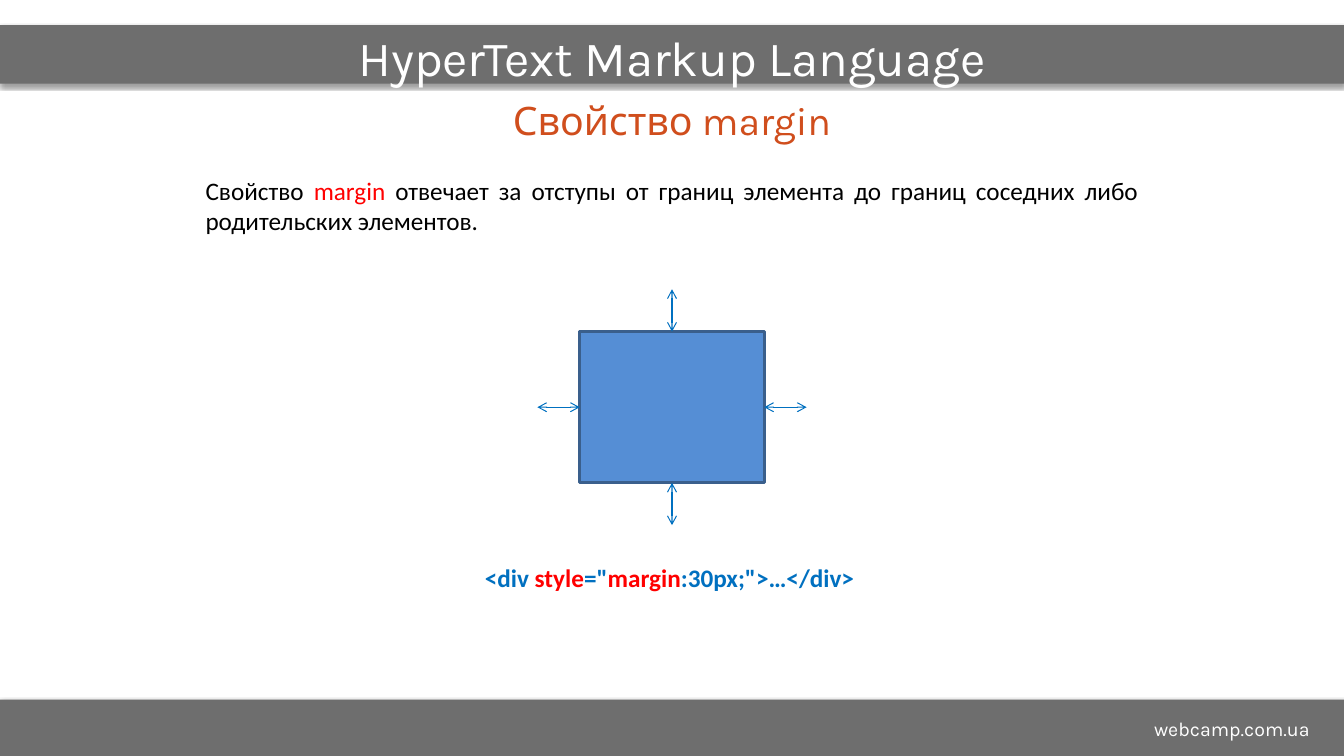
from lxml.etree import SubElement
from pptx import Presentation
from pptx.dml.color import RGBColor
from pptx.enum.shapes import MSO_CONNECTOR as Connector, MSO_SHAPE as Shape
from pptx.enum.text import MSO_ANCHOR as Anchor, PP_ALIGN as Align
from pptx.oxml.ns import qn
from pptx.util import Inches, Pt

COLORS = {
    "band": "6E6E6E", "white": "FFFFFF", "title": "D04E1D", "black": "000000",
    "red": "FF0000", "blue": "0070C0", "box": "558ED5", "box_line": "3A5F8C",
}
WIDTH, HEIGHT = 13.33, 7.5
CENTER = WIDTH / 2


def color(name):
    return RGBColor.from_string(COLORS[name])


def add_text(area, pieces, size, font, align=Align.LEFT, anchor=Anchor.TOP, bold=False):
    text_box = slide.shapes.add_textbox(*map(Inches, area))
    frame = text_box.text_frame
    frame.word_wrap = True
    frame.vertical_anchor = anchor
    paragraph = frame.paragraphs[0]
    paragraph.alignment = align
    for text, color_name in pieces:
        run = paragraph.add_run()
        run.text = text
        run.font.size = Pt(size)
        run.font.name = font
        run.font.bold = bold
        run.font.color.rgb = color(color_name)


presentation = Presentation()
presentation.slide_width = Inches(WIDTH)
presentation.slide_height = Inches(HEIGHT)
slide = presentation.slides.add_slide(presentation.slide_layouts[6])

# Header and footer bands with a soft shadow below
for band_top in (0.25, 6.94):
    band = slide.shapes.add_shape(
        Shape.RECTANGLE, 0, Inches(band_top), Inches(WIDTH), Inches(0.58))
    band.fill.solid()
    band.fill.fore_color.rgb = color("band")
    band.line.fill.background()
    band.shadow.inherit = False
    effects = band._element.spPr.find(qn("a:effectLst"))
    shadow = SubElement(effects, qn("a:outerShdw"), blurRad=str(Pt(3.1)),
                        dist=str(Pt(1.6)), dir="5400000", rotWithShape="0")
    shadow_color = SubElement(shadow, qn("a:srgbClr"), val=COLORS["black"])
    SubElement(shadow_color, qn("a:alpha"), val="38000")

# Headings and footer address
add_text((CENTER - 4.5, 0.25, 9, 0.62), [("HyperText Markup Language", "white")],
         35.1, "Karla", Align.CENTER, Anchor.MIDDLE)
add_text((CENTER - 4.5, 0.88, 9, 0.62), [("Свойство margin", "title")],
         28, "Karla", Align.CENTER, Anchor.MIDDLE)
add_text((4.42, 7.06, 8.67, 0.34), [("webcamp.com.ua", "white")],
         14, "Karla", Align.RIGHT)

# Explanation and code sample
add_text((1.94, 1.69, 9.45, 0.8), [
    ("Свойство ", "black"),
    ("margin", "red"),
    (" отвечает за отступы от границ элемента до границ соседних либо "
     "родительских элементов.", "black"),
], 18, "Calibri", Align.JUSTIFY)
add_text((4.71, 5.53, 3.92, 0.4), [
    ("<div ", "blue"),
    ("style", "red"),
    ('="', "blue"),
    ("margin", "red"),
    (':30px;">…</div>', "blue"),
], 18, "Calibri", bold=True)

# Element box
box_width, box_height, margin = 1.83, 1.5, 0.42
box_left, box_top = CENTER - box_width / 2, 3.29
box = slide.shapes.add_shape(
    Shape.RECTANGLE, *map(Inches, (box_left, box_top, box_width, box_height)))
box.fill.solid()
box.fill.fore_color.rgb = color("box")
box.line.color.rgb = color("box_line")
box.line.width = Pt(2)
box.shadow.inherit = False

# Margin arrows, one outward from the middle of each side
middle = box_top + box_height / 2
for across, down in ((0, -1), (0, 1), (-1, 0), (1, 0)):
    start_x = CENTER + across * box_width / 2
    start_y = middle + down * box_height / 2
    arrow = slide.shapes.add_connector(Connector.STRAIGHT, *map(Inches, (
        start_x, start_y, start_x + across * margin, start_y + down * margin)))
    arrow.line.color.rgb = color("blue")
    arrow.line.width = Pt(0.75)
    for end in ("a:headEnd", "a:tailEnd"):
        SubElement(arrow.line._get_or_add_ln(), qn(end), type="arrow")
    SubElement(arrow._element.spPr, qn("a:effectLst"))

presentation.save("out.pptx")
